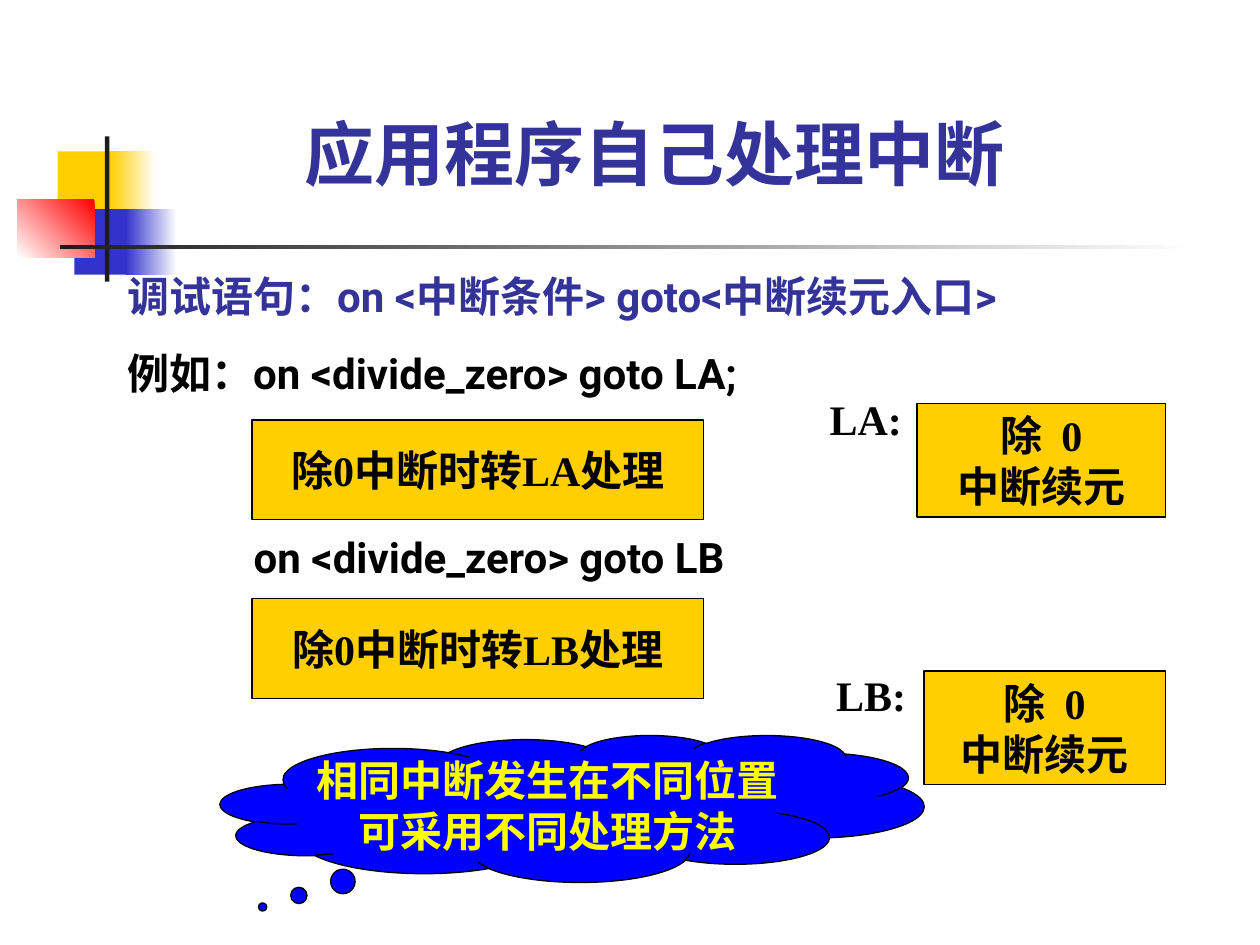
import pptx
import pptx.util
import pptx.dml.color
import pptx.enum.shapes
import pptx.enum.text

Pt = pptx.util.Pt
Shape = pptx.enum.shapes.MSO_SHAPE
Anchor = pptx.enum.text.MSO_ANCHOR
Align = pptx.enum.text.PP_ALIGN

GOLD = "FFCF01"
BLUE = "3333CC"
DARK = "1C1C1C"
WHITE = "FFFFFF"
BLACK = "000000"
HEADING = "333399"
SERIF = "Times New Roman"
SANS = "Roboto"


def color(value):
    return pptx.dml.color.RGBColor.from_string(value)


def write(frame, lines, font=SERIF, size=24, colors=(BLACK,), align=Align.CENTER,
          anchor=Anchor.MIDDLE, wrap=False, gap=0, insets=(7.2, 3.6)):
    frame.word_wrap = wrap
    frame.vertical_anchor = anchor
    frame.margin_left = frame.margin_right = Pt(insets[0])
    frame.margin_top = frame.margin_bottom = Pt(insets[1])
    for index, line in enumerate(lines):
        para = frame.paragraphs[0] if index == 0 else frame.add_paragraph()
        para.alignment = align
        para.space_before = Pt(gap if index else 0)
        span = para.add_run()
        span.text = line
        span.font.name = font
        span.font.size = Pt(size)
        span.font.bold = True
        span.font.color.rgb = color(colors[index % len(colors)])


class SlideBuilder:
    def __init__(self, deck):
        self.page = deck.slides.add_slide(deck.slide_layouts[5])

    def shape(self, area, fill, line=None, kind=Shape.RECTANGLE):
        box = self.page.shapes.add_shape(kind, *map(Pt, area))
        box.shadow.inherit = False
        box.fill.solid()
        box.fill.fore_color.rgb = color(fill)
        if line:
            box.line.color.rgb = color(line)
            box.line.width = Pt(0.75)
        else:
            box.line.fill.background()
        return box

    def fade(self, area, start, end, angle=180):
        box = self.shape(area, start)
        box.fill.gradient()
        box.fill.gradient_angle = angle
        for stop, value, position in zip(box.fill.gradient_stops, (start, end), (0, 1)):
            stop.color.rgb = color(value)
            stop.position = position

    def panel(self, area, lines, wrap=False):
        box = self.shape(area, GOLD, BLACK)
        write(box.text_frame, lines, wrap=wrap)

    def label(self, area, text):
        write(self.shape(area, WHITE).text_frame, [text])

    def cloud(self, area, lines, tail):
        box = self.shape(area, "0000FF", BLACK, Shape.CLOUD_CALLOUT)
        box.adjustments[0], box.adjustments[1] = tail
        write(box.text_frame, lines, colors=("FFFF00",))

    def text(self, area, lines, **style):
        box = self.page.shapes.add_textbox(*map(Pt, area))
        write(box.text_frame, lines, font=SANS, align=Align.LEFT,
              anchor=Anchor.TOP, wrap=True, **style)

    def title(self, area, text):
        box = self.page.shapes.title
        box.left, box.top, box.width, box.height = map(Pt, area)
        write(box.text_frame, [text], font=SANS, size=40, colors=(HEADING,),
              align=Align.LEFT, anchor=Anchor.BOTTOM, wrap=True)


def main():
    deck = pptx.Presentation()
    deck.slide_width, deck.slide_height = Pt(720), Pt(540)
    slide = SlideBuilder(deck)

    slide.shape((33, 86.5, 34.5, 37.5), GOLD)
    slide.fade((63, 86.5, 26, 37.5), WHITE, GOLD)
    slide.shape((42.5, 119.5, 33, 37.5), BLUE)
    slide.fade((72, 119.5, 29, 37.5), WHITE, BLUE)
    slide.fade((10, 114, 44, 33), "FF0000", WHITE, 225)
    slide.shape((60, 78, 2.5, 83), DARK)
    slide.fade((34.5, 140, 648, 2.5), WHITE, DARK)

    slide.title((167, 60.5, 425, 54.5), "应用程序自己处理中断")
    slide.text((65.5, 151, 583, 80),
               ["调试语句：on <中断条件> goto<中断续元入口>", "例如：on <divide_zero> goto LA;"],
               colors=(HEADING, BLACK), gap=15)
    slide.text((145, 304, 329, 29), ["on <divide_zero> goto LB"], insets=(0, 0))

    for name, top in (("LA", 240), ("LB", 342)):
        slide.panel((144, top, 258, 57), [f"除0中断时转{name}处理"])

    for left, top, width in ((524, 230.5, 142), (528, 383.5, 138)):
        slide.panel((left, top, width, 65), ["除  0", "中断续元"], wrap=True)

    for name, left, top in (("LA:", 473.5, 222), ("LB:", 476.5, 380)):
        slide.label((left, top, 42.5, 34), name)

    slide.cloud((126, 420, 402, 84), ["相同中断发生在不同位置", "可采用不同处理方法"],
                (-0.44, 0.67))

    deck.save("out.pptx")


if __name__ == "__main__":
    main()
